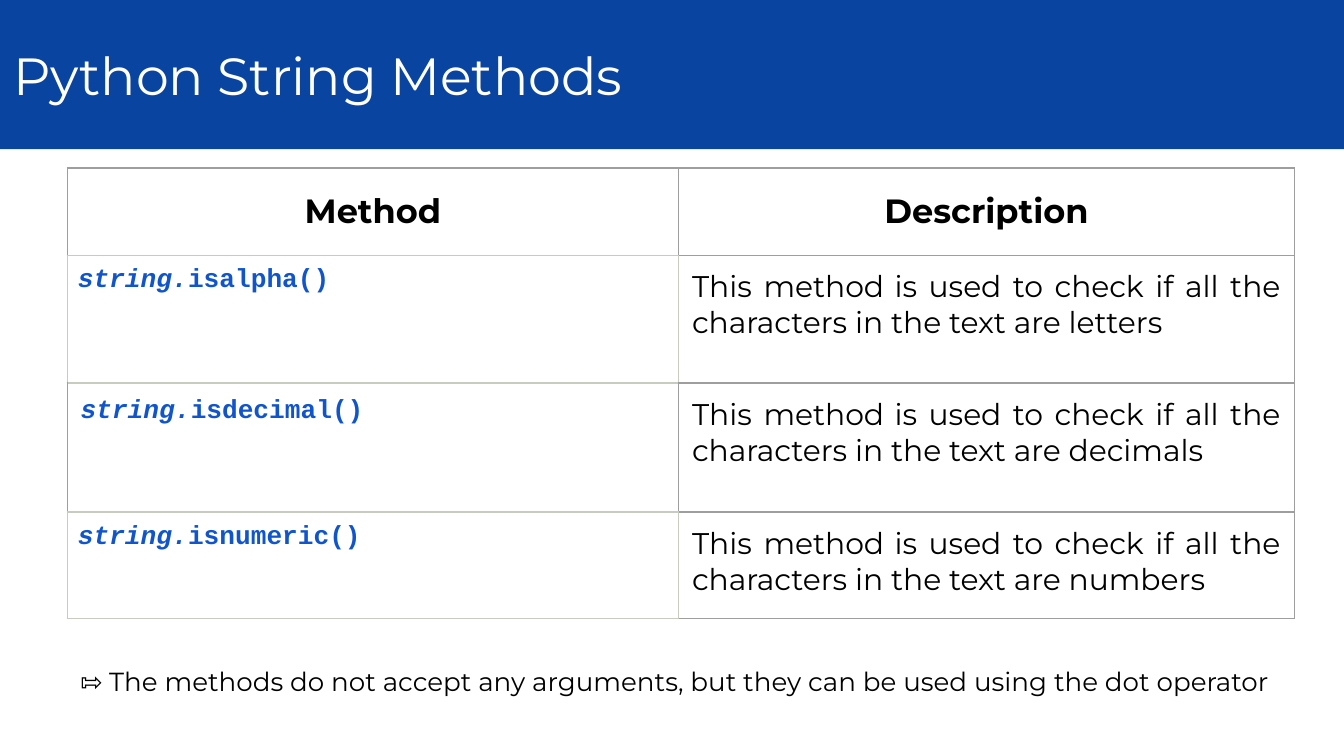
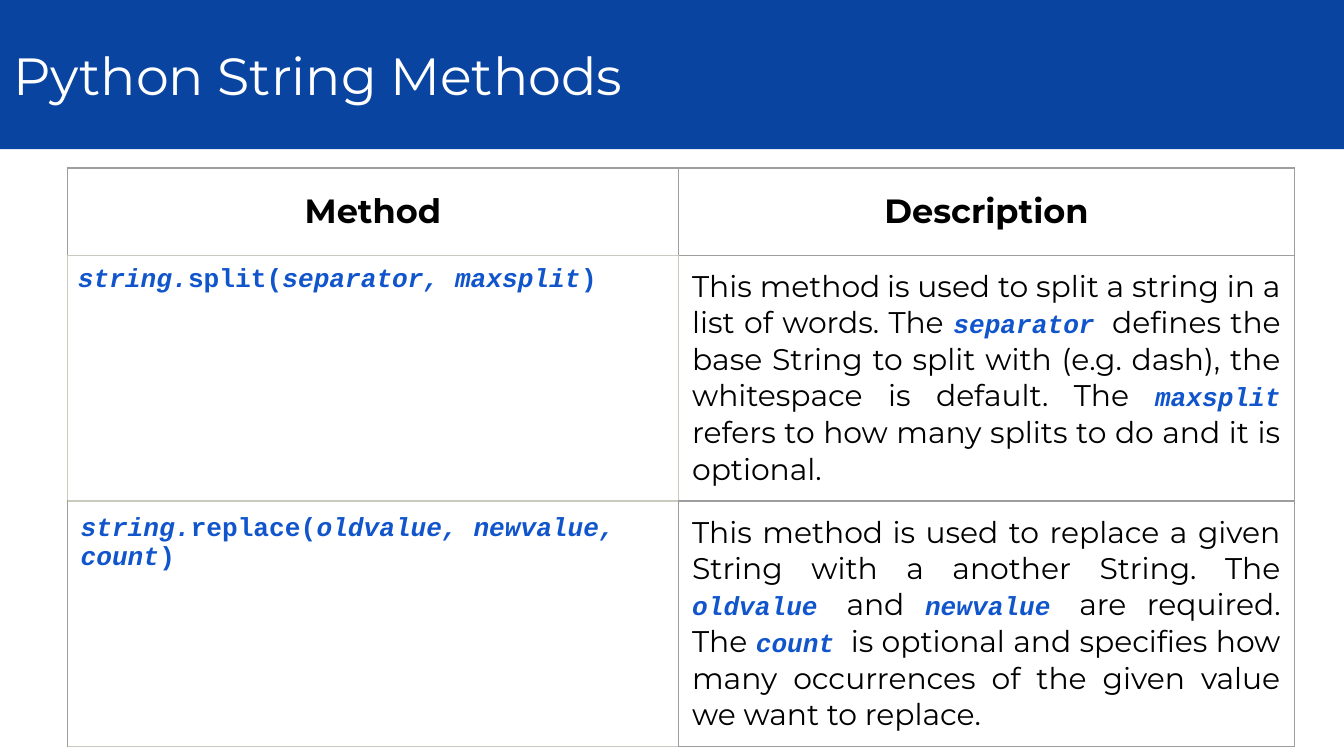
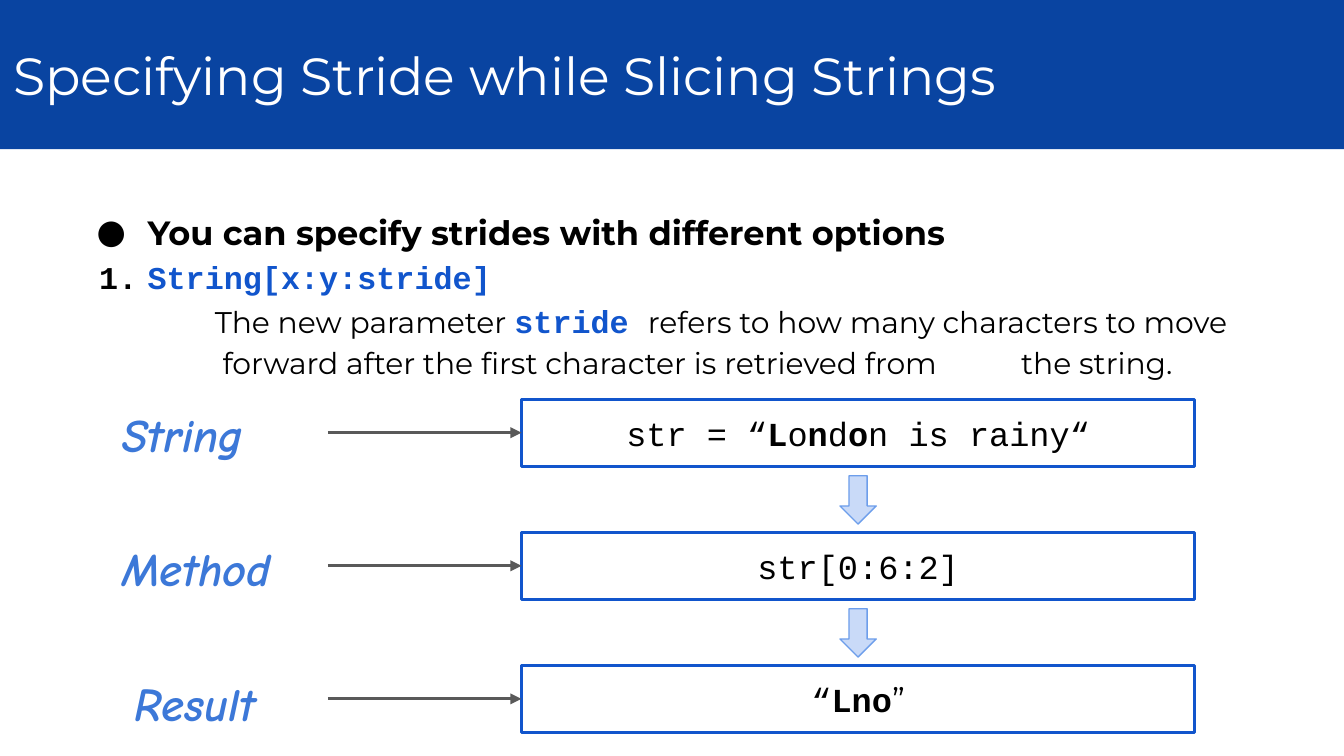
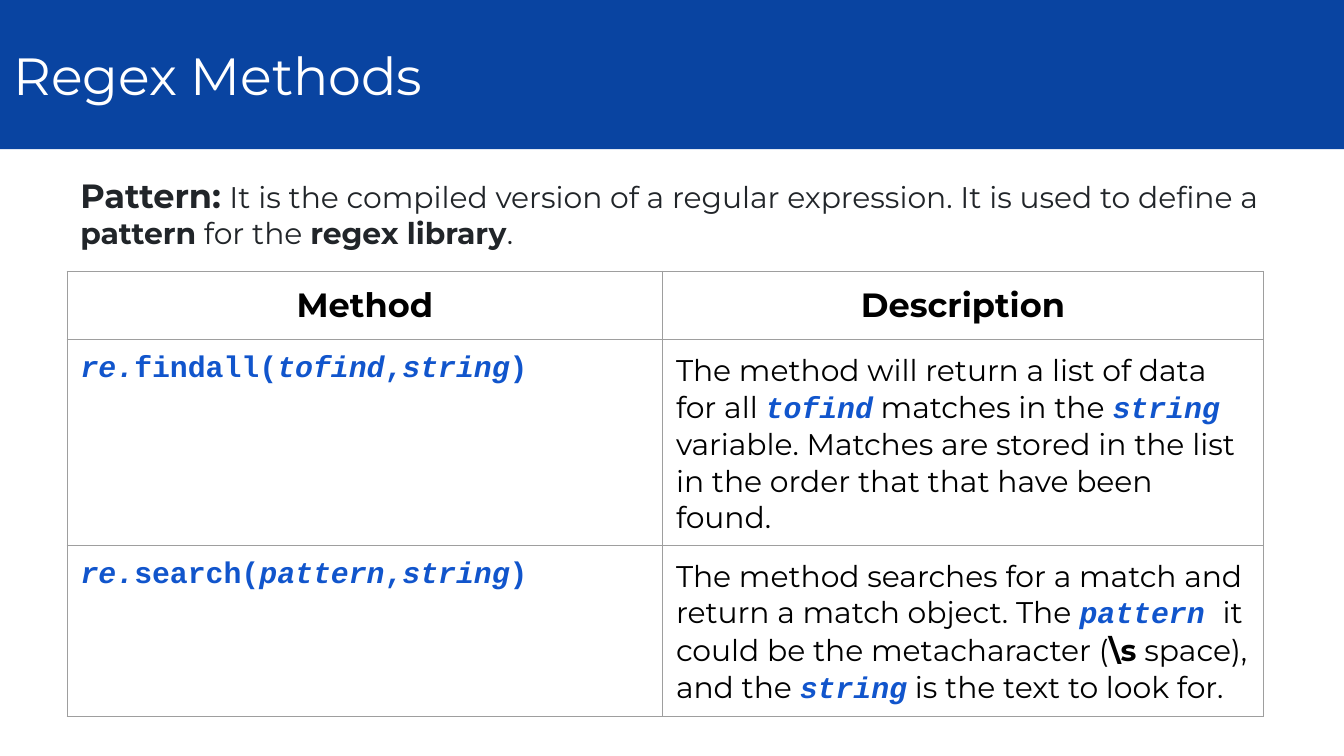
"""Build four slides on Python string and regex methods."""
from copy import deepcopy

from lxml import etree
from pptx import Presentation
from pptx.dml.color import RGBColor
from pptx.enum.shapes import MSO_CONNECTOR, MSO_SHAPE
from pptx.enum.text import MSO_ANCHOR, MSO_AUTO_SIZE, PP_ALIGN
from pptx.oxml import parse_xml
from pptx.oxml.ns import nsdecls, qn
from pptx.util import Inches, Pt

COLORS = {
    "band": "0944A1", "white": "FFFFFF", "black": "000000", "code": "1155CC",
    "ink": "212529", "space": "273239", "label": "3C78D8", "grey": "9E9E9E",
    "sand": "C7CCBE", "link": "595959", "arrow": "C9DAF8", "arrow_edge": "6D9EEB",
}
RGB = {name: RGBColor.from_string(value) for name, value in COLORS.items()}
SANS, MONO = "Montserrat", "Courier New"
STYLES = {
    "title": (SANS, 28, "white", False, False),
    "head": (SANS, 18, "black", True, False),
    "text": (SANS, 16, "black", False, False),
    "strong": (SANS, 16, "black", True, False),
    "thin": (SANS, 13, "space", False, False),
    "note": (SANS, 14, "black", False, False),
    "term": (SANS, 18, "ink", True, False),
    "ink": (SANS, 16, "ink", False, False),
    "ink_bold": (SANS, 16, "ink", True, False),
    "code": (MONO, 14, "code", True, False),
    "arg": (MONO, 14, "code", True, True),
    "code16": (MONO, 16, "code", True, False),
    "arg16": (MONO, 16, "code", True, True),
    "code17": (MONO, 17, "code", True, False),
    "sample": (MONO, 18, "black", False, False),
    "picked": (MONO, 18, "black", True, False),
    "quote": (SANS, 18, "black", False, False),
    "label": ("Comic Neue", 25, "label", True, True),
}


def write(paragraph, runs, align=PP_ALIGN.LEFT):
    """Add styled runs to a paragraph; a newline becomes a line break."""
    paragraph.alignment = align
    for text, style in runs:
        if text == "\n":
            paragraph.add_line_break()
            paragraph._p[-1].append(deepcopy(paragraph._p[-2].rPr))
            continue
        run = paragraph.add_run()
        run.text = text
        font = run.font
        font.name, size, color, font.bold, font.italic = STYLES[style]
        font.size = Pt(size)
        font.color.rgb = RGB[color]


def prepare(shape, anchor=MSO_ANCHOR.TOP):
    """Set insets, wrapping and anchor, and return the text frame."""
    frame = shape.text_frame
    frame.word_wrap = True
    frame.auto_size = MSO_AUTO_SIZE.NONE
    frame.vertical_anchor = anchor
    frame.margin_left = frame.margin_right = Inches(0.1)
    frame.margin_top = frame.margin_bottom = Inches(0.1)
    return frame


prs = Presentation()
prs.slide_width, prs.slide_height = Pt(720), Pt(405)

slides = []
for heading in ("Python String Methods", "Python String Methods",
                "Specifying Stride while Slicing Strings", "Regex Methods"):
    slide = prs.slides.add_slide(prs.slide_layouts[5])
    band = slide.shapes.title
    band.left, band.top, band.width, band.height = 0, 0, Inches(10), Inches(1.11)
    band.fill.solid()
    band.fill.fore_color.rgb = RGB["band"]
    write(prepare(band, MSO_ANCHOR.MIDDLE).paragraphs[0], [(heading, "title")])
    slides.append(slide)
checks, edits, stride, regex = slides

notes = [
    (checks, 4.85, 0.44, [
        ("⇰ The methods do not accept any arguments, but they can be used "
         "using the dot operator", "note")]),
    (regex, 1.2, 0.77, [
        ("Pattern:", "term"), (" ", "ink_bold"),
        ("It is the compiled version of a regular expression. "
         "It is used to define a ", "ink"),
        ("pattern", "ink_bold"), (" for the ", "ink"),
        ("regex library", "ink_bold"), (".", "ink")]),
]
for slide, top, height, runs in notes:
    note = slide.shapes.add_textbox(Inches(0.5), Inches(top), Inches(9.13), Inches(height))
    write(prepare(note).paragraphs[0], runs)

opening = [("This method", "text"), (" ", "thin")]
check_rows = [
    ([("string.", "arg"), (f"{method}()", "code")],
     opening + [("is used to check if all the characters in the text are " + kind, "text")])
    for method, kind in (("isalpha", "letters"), ("isdecimal", "decimals"),
                         ("isnumeric", "numbers"))
]
edit_rows = [
    ([("string.", "arg"), ("split(", "code"), ("separator, maxsplit", "arg"), (")", "code")],
     opening + [
         ("is used to split a string in a list of words. The ", "text"),
         ("separator ", "arg"),
         ("defines the base String to split with (e.g. dash), the whitespace "
          "is default. The ", "text"),
         ("maxsplit", "arg"),
         (" refers to how many splits to do and it is optional.", "text")]),
    ([("string.", "arg"), ("replace(", "code"), ("oldvalue, newvalue, count", "arg"),
      (")", "code")],
     opening + [
         ("is used to replace a given String with a another String. The ", "text"),
         ("oldvalue ", "arg"), ("and ", "text"), ("newvalue ", "arg"),
         ("are required. The ", "text"), ("count ", "arg"),
         ("is optional and specifies how many occurrences of the given value "
          "we want to replace.", "text")]),
]
regex_rows = [
    ([("re.", "arg16"), ("findall(", "code16"), ("tofind", "arg16"), (",", "code16"),
      ("string", "arg16"), (")", "code16")],
     [("The method will return a list of data for all ", "text"), ("tofind", "arg16"),
      (" matches in the ", "text"), ("string", "arg16"),
      (" variable. Matches are stored in the list in the order that that have "
       "been found.", "text")]),
    ([("re.", "arg16"), ("search(", "code16"), ("pattern", "arg16"), (",", "code16"),
      ("string", "arg16"), (")", "code16")],
     [("The method searches for a match and return a match object. The ", "text"),
      ("pattern ", "arg16"), ("it could be the metacharacter (", "text"),
      ("\\s", "strong"), (" space), and the ", "text"), ("string", "arg16"),
      (" is the text to look for.", "text")]),
]
header = ([("Method", "head")], [("Description", "head")])
method_tables = [
    (checks, 1.25, (4.55, 4.58), (0.65, 0.95, 0.96, 0.79), check_rows, True),
    (edits, 1.25, (4.55, 4.58), (0.65, 0.95, 0.96), edit_rows, True),
    (regex, 2.02, (4.43, 4.47), (0.5, 1.27, 1), regex_rows, False),
]
for slide, top, widths, heights, body_rows, sanded in method_tables:
    table = slide.shapes.add_table(
        len(heights), 2, Inches(0.5), Inches(top),
        Inches(sum(widths)), Inches(sum(heights))).table
    table.first_row = table.horz_banding = False
    for column, width in zip(table.columns, widths):
        column.width = Inches(width)
    for r, (height, contents) in enumerate(zip(heights, [header] + body_rows)):
        table.rows[r].height = Inches(height)
        for c, runs in enumerate(contents):
            cell = table.cell(r, c)
            odd = sanded and r % 2 == 1
            inset = Inches(0.08 if odd and c == 0 else 0.1)
            cell.margin_left = cell.margin_right = cell.margin_top = inset
            cell.margin_bottom = inset if sanded or r == 0 else Inches(0.07)
            align = PP_ALIGN.LEFT
            if r == 0:
                align = PP_ALIGN.CENTER
                cell.vertical_anchor = MSO_ANCHOR.MIDDLE if sanded else MSO_ANCHOR.TOP
            elif c == 1 and sanded:
                align = PP_ALIGN.JUSTIFY
            write(cell.text_frame.paragraphs[0], runs, align)

            if c == 1:
                sand_sides = "L" if odd else ""
            elif odd:
                sand_sides = "LRTB"
            else:
                sand_sides = ("TB" if r else "B") if sanded else ""
            for side in "LRTB":
                color = COLORS["sand" if side in sand_sides else "grey"]
                cell._tc.get_or_add_tcPr().append(parse_xml(
                    f'<a:ln{side} {nsdecls("a")} w="9525"><a:solidFill>'
                    f'<a:srgbClr val="{color}"/></a:solidFill></a:ln{side}>'))
            cell.fill.background()

options = stride.shapes.add_shape(
    MSO_SHAPE.RECTANGLE, Inches(0.5), Inches(1.43), Inches(9.13), Inches(2.53))
options.shadow.inherit = False
options.fill.background()
options.line.color.rgb = RGB["white"]
options.line.width = Pt(0.75)
options_frame = prepare(options)
option_items = [
    ("buChar", {"char": "●"}, -0.38, SANS,
     [("You can specify strides with different options", "head")]),
    ("buAutoNum", {"type": "arabicPeriod"}, -0.36, MONO,
     [("String[x:y:stride]", "code17"), ("\n", ""),
      ("\tThe new parameter ", "text"), ("stride ", "code17"),
      ("refers to how many characters to move", "text"), ("\n", ""),
      ("\t forward after the first character is retrieved from\t\tthe string.", "text")]),
]
for i, (bullet, settings, indent, bullet_font, runs) in enumerate(option_items):
    item = options_frame.add_paragraph() if i else options_frame.paragraphs[0]
    item.line_spacing = 1.15
    props = item._p.get_or_add_pPr()
    props.set("marL", str(Inches(0.5)))
    props.set("indent", str(Inches(indent)))
    bullet_color = etree.SubElement(props, qn("a:buClr"))
    etree.SubElement(bullet_color, qn("a:srgbClr"), val=COLORS["black"])
    etree.SubElement(props, qn("a:buFont"), typeface=bullet_font)
    etree.SubElement(props, qn(f"a:{bullet}"), **settings)
    write(item, runs)

steps = [
    ("String", 0.81, 1.63,
     [("str = “", "sample"), ("L", "picked"), ("o", "sample"), ("n", "picked"),
      ("d", "sample"), ("o", "picked"), ("n is rainy“", "sample")]),
    ("Method", 0.81, 1.63, [("str[0:6:2]", "sample")]),
    ("Result", 0.9, 1.45, [("“", "sample"), ("Lno", "picked"), ("”", "quote")]),
]
for i, (name, left, width, runs) in enumerate(steps):
    label = stride.shapes.add_textbox(
        Inches(left), Inches(2.92 + i), Inches(width), Inches(0.62))
    write(prepare(label).paragraphs[0], [(name, "label")])

    top = 2.97 + 0.99 * i
    step = stride.shapes.add_shape(
        MSO_SHAPE.RECTANGLE, Inches(3.88), Inches(top), Inches(5.01), Inches(0.5))
    step.shadow.inherit = False
    step.fill.background()
    step.line.color.rgb = RGB["code"]
    step.line.width = Pt(1.5)
    write(prepare(step).paragraphs[0], runs, PP_ALIGN.CENTER)

    middle = Inches(top + 0.25)
    pointer = stride.shapes.add_connector(
        MSO_CONNECTOR.STRAIGHT, Inches(2.44), middle, Inches(3.88), middle)
    pointer.end_connect(step, 1)
    pointer.line.color.rgb = RGB["link"]
    pointer.line.width = Pt(1.5)
    etree.SubElement(pointer.line._get_or_add_ln(), qn("a:tailEnd"), type="triangle")
    etree.SubElement(pointer._element.spPr, qn("a:effectLst"))

    if i < len(steps) - 1:
        down = stride.shapes.add_shape(
            MSO_SHAPE.DOWN_ARROW, Inches(6.25), Inches(top + 0.57), Inches(0.27), Inches(0.36))
        down.shadow.inherit = False
        down.fill.solid()
        down.fill.fore_color.rgb = RGB["arrow"]
        down.line.color.rgb = RGB["arrow_edge"]
        down.line.width = Pt(0.75)

prs.save("out.pptx")
